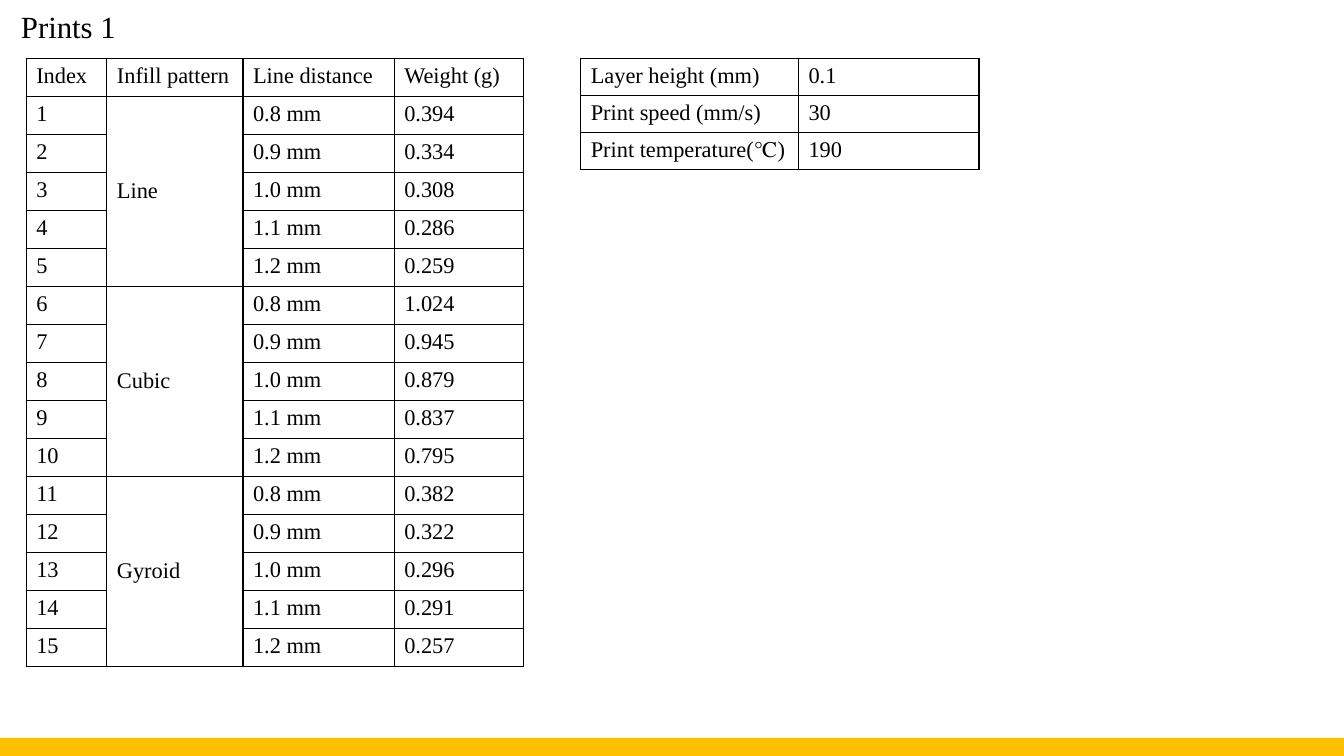
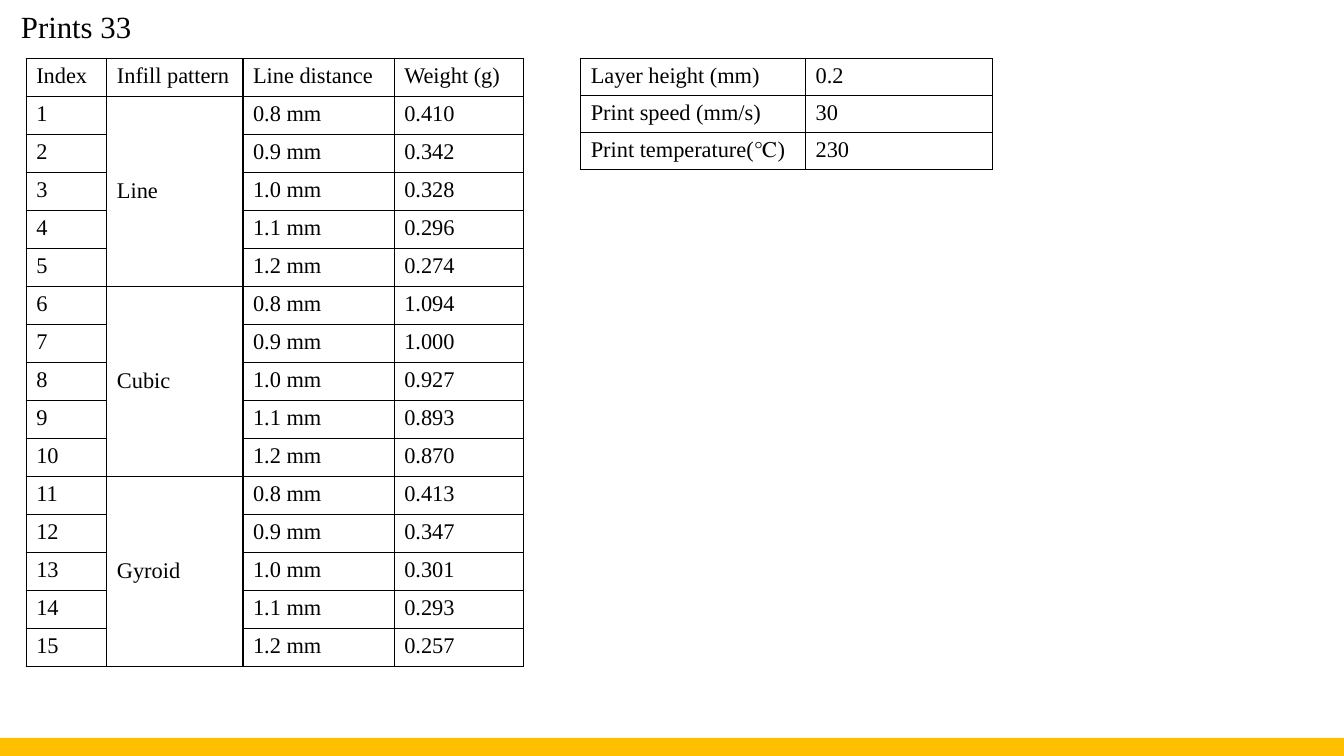
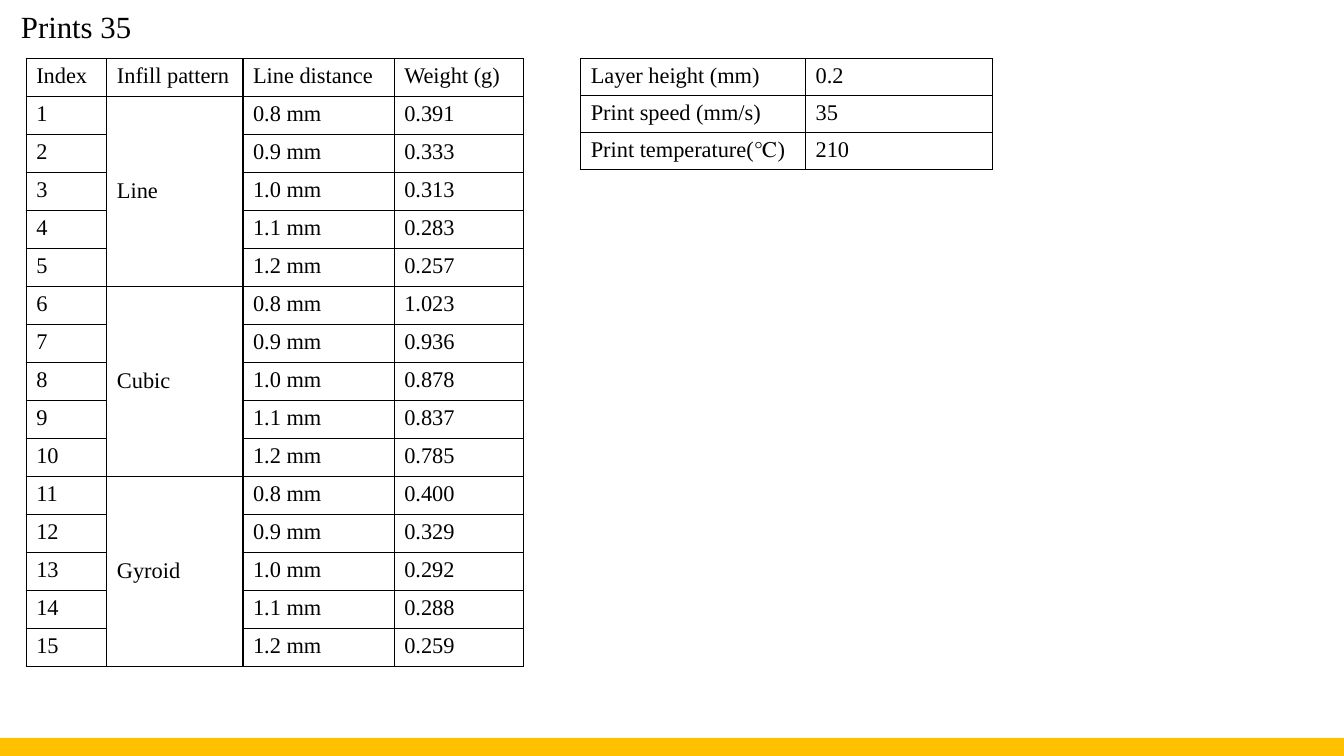
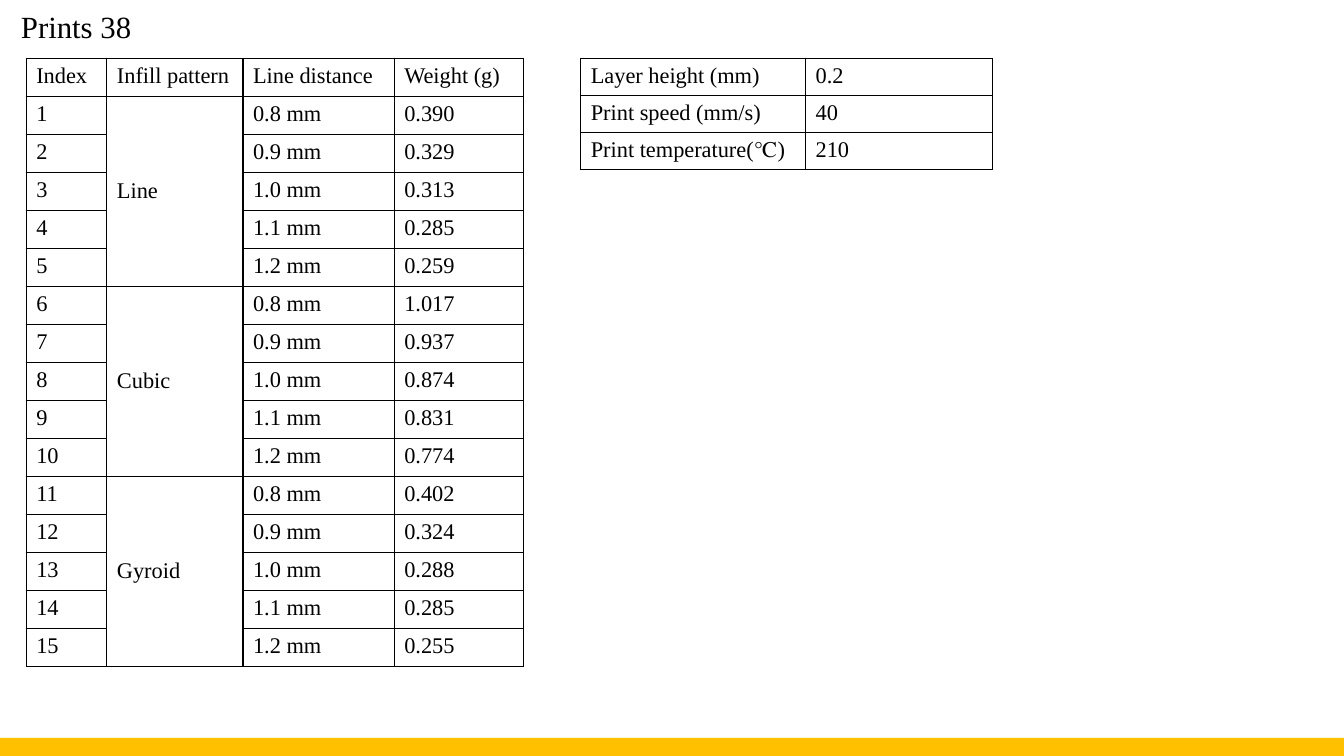
from lxml import etree
from pptx import Presentation
from pptx.dml.color import RGBColor
from pptx.enum.shapes import MSO_SHAPE
from pptx.enum.text import MSO_ANCHOR
from pptx.oxml.ns import qn
from pptx.util import Inches, Pt

RECTANGLE = MSO_SHAPE.RECTANGLE
MIDDLE = MSO_ANCHOR.MIDDLE
BLACK = "000000"
GOLD = "FFC000"
FONT = "Times New Roman"
TITLE_SIZE = 22
TABLE_SIZE = 16
SLIDE_WIDTH = 13.33
SLIDE_HEIGHT = 7.5
BAND_HEIGHT = 0.18
TABLE_TOP = 0.58

WEIGHT_TABLE = {"left": 0.26, "height": 6.03, "columns": (0.8, 1.35, 1.5, 1.28)}
SETTING_TABLE = {"left": 5.76, "height": 1.1}
HEADINGS = ("Index", "Infill pattern", "Line distance", "Weight (g)")
PATTERNS = ("Line", "Cubic", "Gyroid")
DISTANCES = ("0.8 mm", "0.9 mm", "1.0 mm", "1.1 mm", "1.2 mm")
SETTINGS = ("Layer height (mm)", "Print speed (mm/s)", "Print temperature(℃)")

PRINTS = [
    {
        "title": "Prints 1",
        "settings": ("0.1", "30", "190"),
        "setting_columns": (2.16, 1.79),
        "weights": (
            "0.394", "0.334", "0.308", "0.286", "0.259",
            "1.024", "0.945", "0.879", "0.837", "0.795",
            "0.382", "0.322", "0.296", "0.291", "0.257",
        ),
    },
    {
        "title": "Prints 33",
        "settings": ("0.2", "30", "230"),
        "setting_columns": (2.23, 1.85),
        "weights": (
            "0.410", "0.342", "0.328", "0.296", "0.274",
            "1.094", "1.000", "0.927", "0.893", "0.870",
            "0.413", "0.347", "0.301", "0.293", "0.257",
        ),
    },
    {
        "title": "Prints 35",
        "settings": ("0.2", "35", "210"),
        "setting_columns": (2.23, 1.85),
        "weights": (
            "0.391", "0.333", "0.313", "0.283", "0.257",
            "1.023", "0.936", "0.878", "0.837", "0.785",
            "0.400", "0.329", "0.292", "0.288", "0.259",
        ),
    },
    {
        "title": "Prints 38",
        "settings": ("0.2", "40", "210"),
        "setting_columns": (2.23, 1.85),
        "weights": (
            "0.390", "0.329", "0.313", "0.285", "0.259",
            "1.017", "0.937", "0.874", "0.831", "0.774",
            "0.402", "0.324", "0.288", "0.285", "0.255",
        ),
    },
]


def color(value):
    return RGBColor.from_string(value)


def write(paragraph, text, size):
    run = paragraph.add_run()
    run.text = text
    for name, value in {"name": FONT, "size": Pt(size)}.items():
        setattr(run.font, name, value)
    run.font.color.rgb = color(BLACK)


def add_band(slide):
    band = slide.shapes.add_shape(
        RECTANGLE, 0, Inches(SLIDE_HEIGHT - BAND_HEIGHT),
        Inches(SLIDE_WIDTH), Inches(BAND_HEIGHT),
    )
    band.shadow.inherit = False
    band.fill.solid()
    band.fill.fore_color.rgb = color(GOLD)
    band.line.fill.background()


def add_title(slide, text):
    box = slide.shapes.add_textbox(Inches(0.11), 0, Inches(13.22), Inches(0.57))
    frame = box.text_frame
    for name, value in {"word_wrap": True, "vertical_anchor": MIDDLE}.items():
        setattr(frame, name, value)
    paragraph = frame.paragraphs[0]
    paragraph.line_spacing = 0.9
    write(paragraph, text, TITLE_SIZE)


def add_borders(cell):
    properties = cell._tc.get_or_add_tcPr()
    for side in ("a:lnL", "a:lnR", "a:lnT", "a:lnB"):
        line = etree.SubElement(properties, qn(side), w=str(Pt(1)))
        fill = etree.SubElement(line, qn("a:solidFill"))
        etree.SubElement(fill, qn("a:srgbClr"), val=BLACK)


def add_table(slide, rows, left, height, columns):
    table = slide.shapes.add_table(
        len(rows), len(columns), Inches(left), Inches(TABLE_TOP),
        Inches(sum(columns)), Inches(height),
    ).table
    table.first_row = False
    table.horz_banding = False
    for column, width in zip(table.columns, columns):
        column.width = Inches(width)
    for row, texts in zip(table.rows, rows):
        row.height = Inches(height / len(rows))
        for cell, text in zip(row.cells, texts):
            add_borders(cell)
            cell.fill.background()
            if text:
                write(cell.text_frame.paragraphs[0], text, TABLE_SIZE)
    return table


def add_weight_table(slide, weights):
    group_size = len(DISTANCES)
    rows = [HEADINGS]
    for index, weight in enumerate(weights):
        group, position = divmod(index, group_size)
        pattern = "" if position else PATTERNS[group]
        rows.append((str(index + 1), pattern, DISTANCES[position], weight))
    table = add_table(slide, rows, **WEIGHT_TABLE)
    for first in range(1, len(rows), group_size):
        cell = table.cell(first, 1)
        cell.merge(table.cell(first + group_size - 1, 1))
        cell.vertical_anchor = MIDDLE


def main():
    presentation = Presentation()
    presentation.slide_width = Inches(SLIDE_WIDTH)
    presentation.slide_height = Inches(SLIDE_HEIGHT)
    for entry in PRINTS:
        slide = presentation.slides.add_slide(presentation.slide_layouts[6])
        add_band(slide)
        add_title(slide, entry["title"])
        add_table(
            slide, list(zip(SETTINGS, entry["settings"])),
            columns=entry["setting_columns"], **SETTING_TABLE,
        )
        add_weight_table(slide, entry["weights"])
    presentation.save("out.pptx")


if __name__ == "__main__":
    main()
